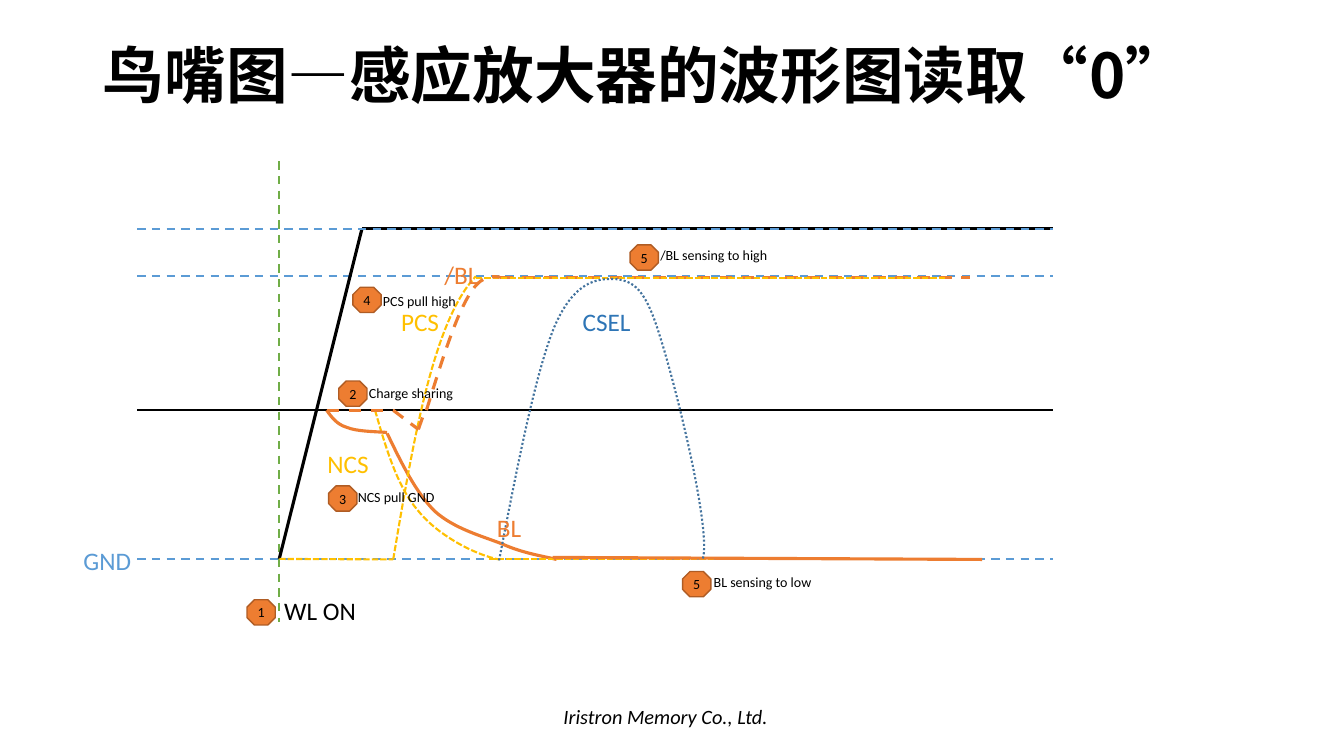
from dataclasses import dataclass

from lxml.etree import SubElement
from pptx import Presentation
from pptx.dml.color import RGBColor
from pptx.enum.dml import MSO_LINE_DASH_STYLE as Dash
from pptx.enum.lang import MSO_LANGUAGE_ID as Language
from pptx.enum.shapes import MSO_CONNECTOR_TYPE as Connector
from pptx.enum.shapes import MSO_SHAPE as Preset
from pptx.enum.text import MSO_ANCHOR as Anchor
from pptx.enum.text import MSO_AUTO_SIZE as AutoSize
from pptx.enum.text import PP_ALIGN as Align
from pptx.oxml.ns import qn
from pptx.util import Inches, Pt

BLACK, BLUE, GREEN = "000000", "5B9BD5", "70AD47"
ORANGE, YELLOW, NAVY = "ED7D31", "FFC000", "43739E"
LATIN, CHINESE = "Calibri", "Noto Sans CJK SC"
WORD_LINE, BIT_LINE, HALF, GROUND = 12.7, 17.4, 30.7, 45.45
LEFT, RIGHT, TURN_ON, FULL_ON = 3.6, 94.45, 17.7, 25.9


@dataclass
class Grid:
    """A box in inches, divided into equal columns and rows."""

    left: float
    top: float
    width: float
    height: float
    columns: int
    rows: int

    def point(self, column, row):
        """Return the slide position of a grid point."""
        return Inches(self.left + column * self.width / self.columns), Inches(
            self.top + row * self.height / self.rows)

    def size(self, columns, rows):
        """Return the lengths of a span of columns and rows."""
        return (Inches(columns * self.width / self.columns),
                Inches(rows * self.height / self.rows))


TRACES = [
    (BLUE, 1.5, Dash.DASH, [(LEFT, GROUND), (RIGHT, GROUND)]),
    (BLACK, 1.5, None, [(LEFT, HALF), (RIGHT, HALF)]),
    (BLUE, 1.5, Dash.DASH, [(LEFT, BIT_LINE), (RIGHT, BIT_LINE)]),
    (GREEN, 1.5, Dash.DASH, [(TURN_ON, 6), (TURN_ON, 51.7)]),
    (BLACK, 2.25, None, [(TURN_ON, GROUND), (FULL_ON, WORD_LINE)]),
    (BLACK, 2.25, None, [(FULL_ON, WORD_LINE), (RIGHT, WORD_LINE)]),
    (BLUE, 1.5, Dash.DASH, [(LEFT, WORD_LINE), (RIGHT, WORD_LINE)]),
    (ORANGE, 2.25, Dash.DASH, [(39.6, 17.5), (86.2, 17.5)]),
    (ORANGE, 2.25, None, [
        (28.4, 33), (29.8, 35.9), (31.2, 38.8), (33.1, 40.7), (35.1, 42.5),
        (37.9, 43.2), (39.9, 44), (41.9, 44.9), (44, 45.2), (45.2, 45.5)]),
    (YELLOW, 1.5, Dash.SQUARE_DOT, [
        (27.2, HALF), (28.3, 34.5), (29.4, 38.3), (31.5, 40.7),
        (33.5, 43.2), (37.3, 45.1), (39.5, 45.5)]),
    (YELLOW, 1.5, Dash.SQUARE_DOT, [
        (29, 45.5), (31, 33.6), (33, 21.8), (37.2, BIT_LINE)]),
    (YELLOW, 1.5, Dash.SQUARE_DOT, [(37.2, 17.6), (83.8, 17.6)]),
    (YELLOW, 1.5, Dash.SQUARE_DOT, [(38.5, 45.5), (86.9, 45.5)]),
    (ORANGE, 2.25, None, [(44.8, 45.3), (87.4, 45.5)]),
    (NAVY, 1.5, Dash.ROUND_DOT, [
        (39.5, 45.6), (41.3, 36.3), (43.1, 27), (45, 22.4), (47, 17.8),
        (49.3, 17.6), (51.1, 17.7), (52.8, 17.9), (54, 18.6), (55.4, 23.2),
        (56.9, 27.8), (60.6, 42.6), (59.7, 45.5)]),
    (ORANGE, 2.25, None, [
        (22.4, HALF), (22.9, 31.4), (23.4, 32.1), (24.4, 32.4),
        (25.4, 32.8), (26.9, 32.8), (28.4, 32.9)]),
    (ORANGE, 2.25, Dash.DASH, [
        (32.3, HALF), (33.7, 26.2), (35.1, 21.7), (36.4, 19.5),
        (37.6, 17.3), (38.7, BIT_LINE), (39.6, 17.5)]),
    (YELLOW, 1.5, Dash.SQUARE_DOT, [(TURN_ON, GROUND), (29, 45.5)]),
    (ORANGE, 2.25, Dash.DASH, [(22.4, HALF), (29, HALF)]),
]

DIP = [(29, HALF), (31.5, 32.6), (32.2, 30.6)]

LABELS = [
    ("WL ON", BLACK, 17.2, 48.6, 11.2),
    ("GND", BLUE, -2.7, 43.6, 8.6),
    ("/BL", ORANGE, 33.1, 15.2, 15.9),
    ("BL", ORANGE, 38.3, 40.3, 17.4),
    ("CSEL", "2E75B6", 46.8, 19.9, 7.2),
    ("NCS", YELLOW, 21.5, 34, 6.6),
    ("PCS", YELLOW, 28.8, 19.9, 6.6),
]

BADGES = [("1", 14.5, 49.5), ("2", 23.6, 27.8), ("3", 22.6, 38.2),
          ("4", 25, 18.5), ("5", 57.7, 46.7), ("5", 52.5, 14.3)]

CAPTIONS = [
    ("Charge sharing", 25.6, 27.7, 12.2),
    ("NCS pull GND", 24.5, 38, 14.8),
    ("PCS pull high", 27, 18.5, 22),
    ("BL sensing to low", 59.8, 46.4, 21.2),
    ("/BL sensing to high", 54.5, 14, 23.9),
]


def color(value):
    """Turn a hex string into a colour."""
    return RGBColor.from_string(value)


def add_run(paragraph, text, size, tint=BLACK, name=LATIN):
    """Add one formatted run and return it."""
    run = paragraph.add_run()
    run.text = text
    run.font.size = Pt(size)
    run.font.name = name
    run.font.color.rgb = color(tint)
    return run


def add_label(slide, grid, text, size, tint, column, row, columns, rows):
    """Add a left-aligned text box on the grid and return its run."""
    box = slide.shapes.add_textbox(*grid.point(column, row), *grid.size(columns, rows))
    box.text_frame.word_wrap = True
    return add_run(box.text_frame.paragraphs[0], text, size, tint)


def style_line(line, tint, width, dash):
    """Set the colour, width and dash of a line."""
    line.color.rgb = color(tint)
    line.width = Pt(width)
    if dash:
        line.dash_style = dash


def add_line(slide, grid, tint, width, dash, points):
    """Draw a straight signal."""
    start, end = points
    line = slide.shapes.add_connector(
        Connector.STRAIGHT, *grid.point(*start), *grid.point(*end))
    style_line(line.line, tint, width, dash)
    SubElement(line._element.spPr, qn("a:effectLst"))


def add_outline(slide, grid, tint, width, dash, points):
    """Draw an open outline and turn each three steps into a cubic curve."""
    places = [grid.point(*point) for point in points]
    builder = slide.shapes.build_freeform(*places[0])
    builder.add_line_segments(places[1:], close=False)
    outline = builder.convert_to_shape()
    outline.fill.background()
    outline.shadow.inherit = False
    style_line(outline.line, tint, width, dash)
    segments = list(outline._element.iter(qn("a:lnTo")))
    for first in range(0, len(segments) - 2, 3):
        curve = SubElement(segments[first].getparent(), qn("a:cubicBezTo"))
        for segment in segments[first:first + 3]:
            curve.append(segment[0])
            segment.getparent().remove(segment)


def add_badge(slide, grid, number, column, row):
    """Place a numbered octagon."""
    badge = slide.shapes.add_shape(
        Preset.OCTAGON, *grid.point(column, row), *grid.size(2.8, 2.5))
    badge.shadow.inherit = False
    badge.fill.solid()
    badge.fill.fore_color.rgb = color(ORANGE)
    style_line(badge.line, "AF5C24", 1, None)
    frame = badge.text_frame
    frame.margin_left = frame.margin_right = frame.margin_top = frame.margin_bottom = 0
    frame.word_wrap = False
    frame.vertical_anchor = Anchor.MIDDLE
    frame.paragraphs[0].alignment = Align.CENTER
    add_run(frame.paragraphs[0], number, 10)


def add_title(slide, grid, text):
    """Fill the title placeholder and fit it to the grid's box."""
    title = slide.shapes.title
    title.left, title.top = grid.point(0, 0)
    title.width, title.height = grid.size(grid.columns, grid.rows)
    frame = title.text_frame
    frame.word_wrap = True
    frame.auto_size = AutoSize.NONE
    frame.vertical_anchor = Anchor.TOP
    paragraph = frame.paragraphs[0]
    paragraph.alignment = Align.LEFT
    paragraph.line_spacing = 0.9
    run = add_run(paragraph, text, 44, name=CHINESE)
    run.font.bold = True
    run.font.language_id = Language.SIMPLIFIED_CHINESE
    SubElement(run.font._element, qn("a:ea")).set("typeface", CHINESE)


def add_waveforms(slide, grid):
    """Draw the signals, their names and the numbered steps."""
    for *style, points in TRACES:
        draw = add_line if len(points) == 2 else add_outline
        draw(slide, grid, *style, points)
    for ends in zip(DIP, DIP[1:]):
        add_outline(slide, grid, ORANGE, 2.25, Dash.DASH, ends)
    for text, tint, column, row, columns in LABELS:
        add_label(slide, grid, text, 18, tint, column, row, columns, 4)
    for badge in BADGES:
        add_badge(slide, grid, *badge)
    for text, column, row, columns in CAPTIONS:
        add_label(slide, grid, text, 10, BLACK, column, row, columns, 2.7)


def main():
    """Build and save the slide."""
    presentation = Presentation()
    presentation.slide_width, presentation.slide_height = Inches(13.33), Inches(7.5)
    slide = presentation.slides.add_slide(presentation.slide_layouts[5])
    footer = Grid(5.49, 6.94, 2.35, 0.34, 1, 1)
    add_label(slide, footer, "Iristron Memory Co., Ltd.", 14.5, BLACK,
              0, 0, 1, 1).font.italic = True
    add_title(slide, Grid(0.92, 0.4, 11.5, 1.45, 1, 1), "鸟嘴图—感应放大器的波形图读取“0”")
    add_waveforms(slide, Grid(1, 1, 10, 6, 100, 60))
    presentation.save("out.pptx")


if __name__ == "__main__":
    main()
